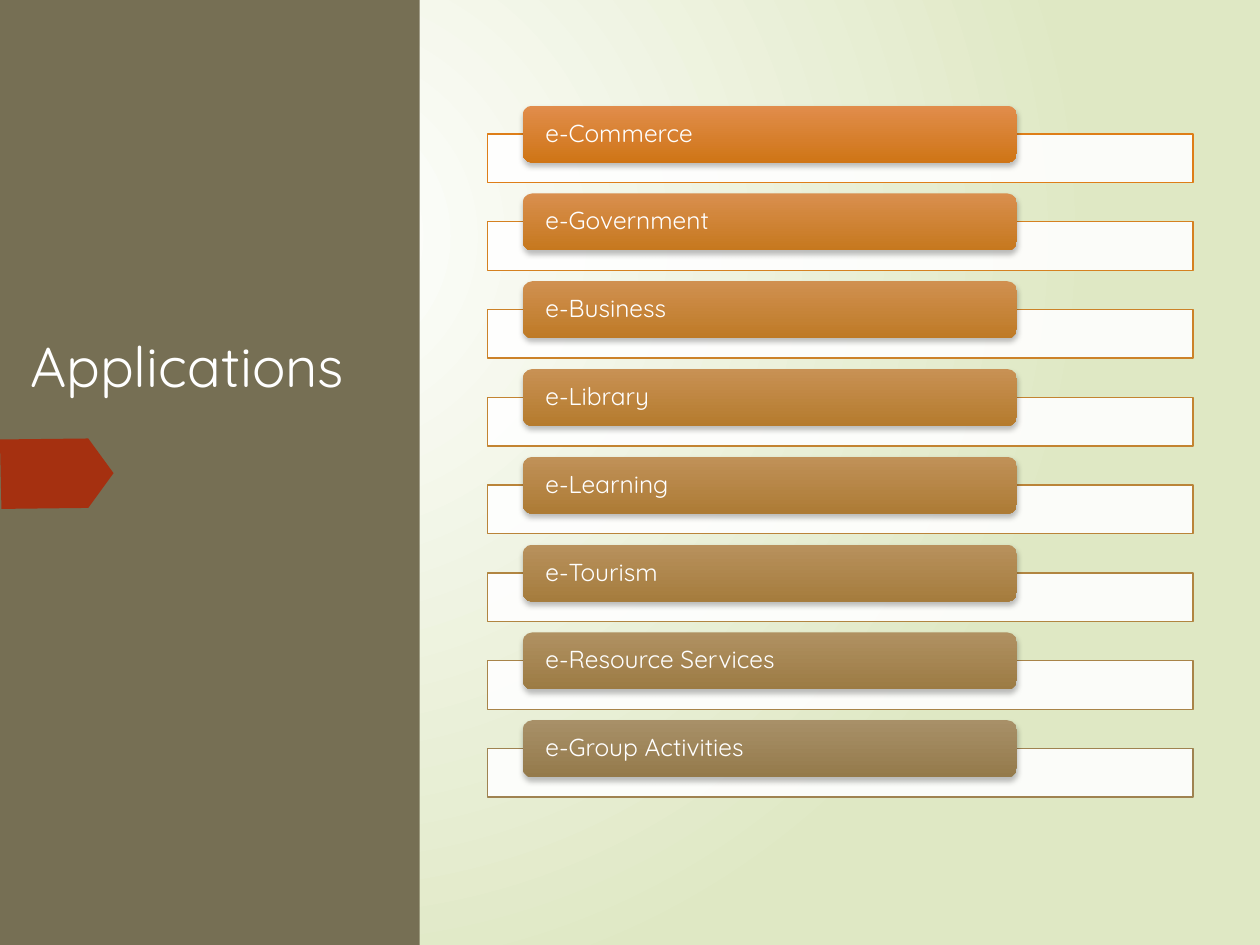
import lxml.etree
import pptx
import pptx.dml.color
import pptx.enum.shapes
import pptx.enum.text
import pptx.oxml.ns
import pptx.util

Cm = pptx.util.Cm
Pt = pptx.util.Pt
SHAPE = pptx.enum.shapes.MSO_SHAPE
qn = pptx.oxml.ns.qn

COLOURS = {
    "white": "FFFFFF",
    "mint": "DFE8C4",
    "olive": "766F54",
    "rust": "A53010",
    "black": "000000",
}
APPLICATIONS = [
    ("e-Commerce", "DE7E18", "E18D4C", "CF7516"),
    ("e-Government", "D58120", "D98F4E", "C6781E"),
    ("e-Business", "CC8229", "D09050", "BE7A26"),
    ("e-Library", "C38431", "C89154", "B57B2D"),
    ("e-Learning", "BA8439", "C09158", "AD7B35"),
    ("e-Tourism", "B18541", "B8915D", "A57C3D"),
    ("e-Resource Services", "A88449", "B09162", "9C7B44"),
    ("e-Group Activities", "9F8351", "A89068", "947A4B"),
]
ROW_PITCH = 1.77


def rgb(value):
    return pptx.dml.color.RGBColor.from_string(value)


def set_gradient(fill, start, end):
    fill.gradient()
    for stop, colour in zip(fill.gradient_stops, (start, end)):
        stop.color.rgb = rgb(colour)


presentation = pptx.Presentation()
presentation.slide_width = Cm(25.4)
presentation.slide_height = Cm(19.05)
slide = presentation.slides.add_slide(presentation.slide_layouts[6])
shapes = slide.shapes

set_gradient(slide.background.fill, COLOURS["white"], COLOURS["mint"])
glow = slide.background._cSld.find(".//" + qn("a:gradFill"))
glow.remove(glow.find(qn("a:lin")))
glow_path = lxml.etree.SubElement(glow, qn("a:path"), path="circle")
lxml.etree.SubElement(
    glow_path, qn("a:fillToRect"), l="50000", t="50000", r="100000", b="100000"
)

sidebar = shapes.add_shape(SHAPE.RECTANGLE, 0, 0, Cm(8.46), Cm(19.05))
sidebar.shadow.inherit = False
sidebar.fill.solid()
sidebar.fill.fore_color.rgb = rgb(COLOURS["olive"])
sidebar.line.fill.background()

title = shapes.add_textbox(Cm(0.36), Cm(6.55), Cm(7.75), Cm(8.41)).text_frame
title.word_wrap = True
title.text = "Applications"
title.paragraphs[0].font.name = "Quicksand"
title.paragraphs[0].font.size = Pt(32)
title.paragraphs[0].font.color.rgb = rgb(COLOURS["white"])

arrow_outline = shapes.build_freeform(0, Cm(8.86))
arrow_outline.add_line_segments(
    [
        (Cm(x), Cm(y))
        for x, y in ((1.78, 8.84), (2.29, 9.54), (1.78, 10.24), (0.03, 10.26))
    ]
)
arrow = arrow_outline.convert_to_shape()
arrow.shadow.inherit = False
arrow.fill.solid()
arrow.fill.fore_color.rgb = rgb(COLOURS["rust"])
arrow.line.fill.background()

content_panel = shapes.add_shape(SHAPE.RECTANGLE, Cm(9.98), 0, Cm(15.42), Cm(19.05))
content_panel.shadow.inherit = False
content_panel.fill.background()
content_panel.line.fill.background()
content_panel._element.set("useBgFill", "1")

for row, (application, outline, top_colour, bottom_colour) in enumerate(APPLICATIONS):
    offset = row * ROW_PITCH

    frame = shapes.add_shape(
        SHAPE.RECTANGLE, Cm(9.83), Cm(2.7 + offset), Cm(14.22), Cm(0.98)
    )
    frame.shadow.inherit = False
    frame.fill.solid()
    frame.fill.fore_color.rgb = rgb(COLOURS["white"])
    frame_colour = frame._element.spPr.find(qn("a:solidFill"))[0]
    lxml.etree.SubElement(frame_colour, qn("a:alpha"), val="90000")
    frame.line.color.rgb = rgb(outline)
    frame.line.width = Pt(0.75)

    bar = shapes.add_shape(
        SHAPE.ROUNDED_RECTANGLE, Cm(10.54), Cm(2.13 + offset), Cm(9.96), Cm(1.15)
    )
    set_gradient(bar.fill, top_colour, bottom_colour)
    bar.fill.gradient_angle = 270
    bar.line.fill.background()
    bar.shadow.inherit = False
    bar_shadow = lxml.etree.SubElement(
        bar._element.spPr.find(qn("a:effectLst")),
        qn("a:outerShdw"),
        blurRad=str(Pt(3)),
        dist=str(Pt(2)),
        dir="5400000",
        rotWithShape="0",
    )
    shadow_colour = lxml.etree.SubElement(
        bar_shadow, qn("a:srgbClr"), val=COLOURS["black"]
    )
    lxml.etree.SubElement(shadow_colour, qn("a:alpha"), val="25000")

    label = bar.text_frame
    label.word_wrap = True
    label.vertical_anchor = pptx.enum.text.MSO_ANCHOR.MIDDLE
    label.margin_left = label.margin_right = Cm(0.4)
    label.margin_top = label.margin_bottom = 0
    label.text = application
    paragraph = label.paragraphs[0]
    paragraph.alignment = pptx.enum.text.PP_ALIGN.LEFT
    paragraph.line_spacing = 0.9
    paragraph.font.name = "Quicksand"
    paragraph.font.size = Pt(14)
    paragraph.font.color.rgb = rgb(COLOURS["white"])

presentation.save("out.pptx")
